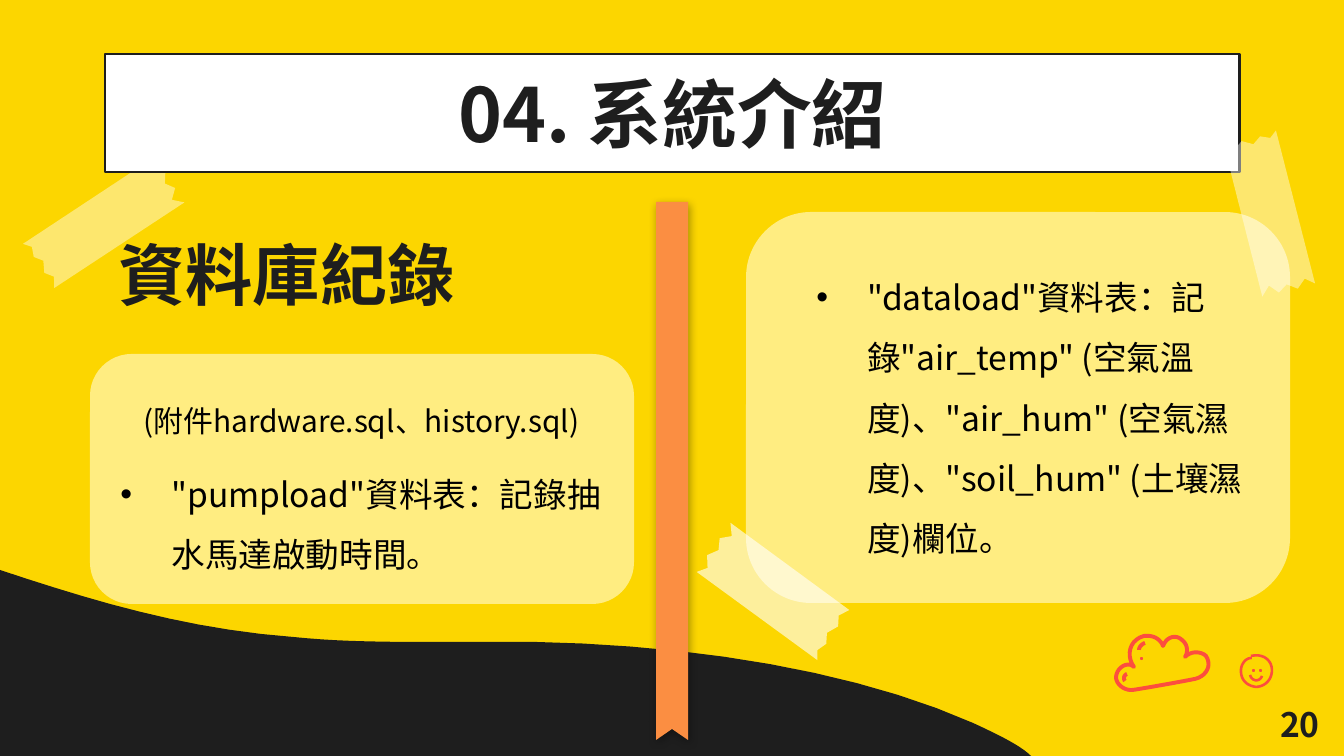
from lxml import etree
from pptx import Presentation
from pptx.dml.color import RGBColor
from pptx.enum.shapes import MSO_SHAPE as Shape
from pptx.enum.text import MSO_ANCHOR as Anchor, MSO_AUTO_SIZE as AutoSize, PP_ALIGN as Align
from pptx.oxml.ns import qn
from pptx.util import Emu, Pt

PX = 9144000 / 1344
FONT = "Noto Sans CJK JP"
YELLOW = RGBColor(0xFC, 0xD6, 0x00)
CREAM = RGBColor(0xFF, 0xED, 0x81)
INK = RGBColor(0x1E, 0x1E, 0x1E)
BLACK = RGBColor(0x00, 0x00, 0x00)
WHITE = RGBColor(0xFF, 0xFF, 0xFF)
ORANGE = RGBColor(0xFB, 0x8E, 0x42)
RED = RGBColor(0xFC, 0x4E, 0x3E)

TAPE = [(4, 0), (9, 8), (4, 17), (9, 26), (2, 36), (7, 45), (0, 54), (154, 71),
        (146, 61), (156, 54), (151, 44), (159, 35), (152, 25), (160, 17)]
WAVE = [(0, 570), (90, 600), (185, 629), (293, 637), (341, 642), (390, 642), (438, 642),
        (470, 642), (503, 642), (535, 642), (694, 645), (856, 671), (973, 723),
        (1001, 736), (1021, 746), (1031, 756)]
CLOUD = [(19, 56), (10, 57), (2, 50), (2, 43), (3, 33), (14, 27), (20, 33),
         (12, 22), (15, 6), (30, 2), (38, 1), (46, 4), (49, 12),
         (53, 2), (63, 0), (69, 7), (74, 11), (74, 19), (71, 23),
         (78, 16), (88, 18), (92, 22), (98, 31), (93, 42), (81, 45),
         (60, 49), (38, 53), (19, 56)]
CLOUD_SHINES = [[(25, 16), (25, 13), (28, 10), (31, 9)], [(11, 47), (9, 45), (10, 41), (13, 40)]]
FACE = [(12, 3), (26, 0), (34, 9), (33, 19), (32, 29), (24, 34), (17, 34),
        (8, 33), (2, 27), (2, 18), (2, 12), (6, 5), (13, 5)]
SMILE = [(11, 22), (13, 29), (21, 29), (23, 23)]


def px(length):
    """Turn px into EMU."""
    return Emu(round(length * PX))


def curve(points, steps=10):
    """Sample a chain of cubic curves."""
    samples = [points[0]]
    for i in range(0, len(points) - 1, 3):
        for step in range(1, steps + 1):
            t = step / steps
            weights = ((1 - t) ** 3, 3 * t * (1 - t) ** 2, 3 * t * t * (1 - t), t ** 3)
            samples.append(tuple(sum(w * p[axis] for w, p in zip(weights, points[i:i + 4]))
                                 for axis in (0, 1)))
    return samples


def paint(shape, fill=None, line=None, width=1.5):
    """Give a shape its fill and outline, without a shadow."""
    shape.shadow.inherit = False
    if fill is None:
        shape.fill.background()
    else:
        shape.fill.solid()
        shape.fill.fore_color.rgb = fill
    if line is None:
        shape.line.fill.background()
    else:
        shape.line.color.rgb = line
        shape.line.width = Pt(width)
    return shape


def outline(slide, left, top, points, closed=True):
    """Draw a freeform whose points are px from left and top."""
    placed = [(round((left + x) * PX), round((top + y) * PX)) for x, y in points]
    builder = slide.shapes.build_freeform(*placed[0], scale=1.0)
    builder.add_line_segments(placed[1:], close=closed)
    return builder.convert_to_shape()


def preset(slide, kind, box, **look):
    """Draw a painted preset shape in a px box."""
    return paint(slide.shapes.add_shape(kind, *map(px, box)), **look)


def style(paragraph, text, size, color, align=Align.LEFT, bold=False):
    """Fill a paragraph and set its font."""
    paragraph.text = text
    paragraph.alignment = align
    font = paragraph.font
    font.name, font.size, font.bold = FONT, Pt(size), bold
    font.color.rgb = color
    defaults = paragraph._p.pPr.find(qn("a:defRPr"))
    etree.SubElement(defaults, qn("a:ea")).set("typeface", FONT)


def item(paragraph, text, size=18, bullet=True):
    """Write one spaced list line, bulleted or centred."""
    properties = paragraph._p.get_or_add_pPr()
    properties.set("marL", str(px(89 if bullet else 38)))
    properties.set("indent", str(px(-51 if bullet else 0)))
    paragraph.line_spacing = 1.5
    paragraph.space_before, paragraph.space_after = Pt(0), Pt(8)
    if bullet:
        etree.SubElement(properties, qn("a:buFont")).set("typeface", "Arial")
        etree.SubElement(properties, qn("a:buChar")).set("char", "•")
    else:
        etree.SubElement(properties, qn("a:buNone"))
    style(paragraph, text, size, BLACK, Align.LEFT if bullet else Align.CENTER)


def frame_of(shape, anchor=Anchor.MIDDLE):
    """Return a wrapping text frame with a fixed size."""
    frame = shape.text_frame
    frame.word_wrap, frame.auto_size, frame.vertical_anchor = True, AutoSize.NONE, anchor
    return frame


def place(shape, box):
    """Move a placeholder to a px box."""
    shape.left, shape.top, shape.width, shape.height = map(px, box)


def tape(slide, left, top, width, height, angle, opacity):
    """Stick a translucent strip of torn tape."""
    points = [(x * width / 160, y * height / 71) for x, y in TAPE]
    strip = paint(outline(slide, left, top, points), WHITE)
    strip.rotation = angle
    color = strip.fill._xPr.find(qn("a:solidFill"))[0]
    etree.SubElement(color, qn("a:alpha")).set("val", str(opacity * 1000))


def ribbon(slide, left, top, width, height):
    """Draw the bookmark between the columns with a soft shadow."""
    points = [(0, 0), (0, height), (width / 2, height - 11), (width, height), (width, 0)]
    band = paint(outline(slide, left, top, points), ORANGE)
    effects = band._element.spPr.find(qn("a:effectLst"))
    shadow = etree.SubElement(effects, qn("a:outerShdw"), blurRad=str(Pt(4.5)),
                              dist=str(Pt(1.5)), dir=str(73 * 60000), rotWithShape="0")
    color = etree.SubElement(shadow, qn("a:srgbClr"), val="000000")
    etree.SubElement(color, qn("a:alpha"), val="34000")


def banner(slide, box):
    """Draw the chapter heading."""
    heading = preset(slide, Shape.RECTANGLE, box, fill=WHITE, line=INK)
    style(frame_of(heading).paragraphs[0], "04. 系統介紹", 40, INK, Align.CENTER, True)


def left_column(slide, left, top):
    """Place the title and the card with the first list."""
    title, body = slide.shapes.title, slide.placeholders[1]
    place(title, (left + 15, top, 512, 109))
    style(frame_of(title).paragraphs[0], "資料庫紀錄", 36, INK, bold=True)
    preset(slide, Shape.ROUNDED_RECTANGLE, (left, top + 135, 544, 250), fill=CREAM)
    place(body, (left - 21, top + 159, 547, 199))
    slide.shapes._spTree.append(body._element)
    frame = frame_of(body, Anchor.TOP)
    item(frame.paragraphs[0], "(附件hardware.sql、history.sql)", 16, bullet=False)
    item(frame.add_paragraph(), '"pumpload"資料表：記錄抽水馬達啟動時間。')


def right_card(slide, box):
    """Place the card with the second list."""
    card = preset(slide, Shape.ROUNDED_RECTANGLE, box, fill=CREAM)
    item(frame_of(card).paragraphs[0],
         '"dataload"資料表：記錄"air_temp" (空氣溫度)、"air_hum" (空氣濕度)、"soil_hum" (土壤濕度)欄位。')


def doodle(slide, left, top, strokes, dots, width):
    """Draw curved red strokes and round dots."""
    for stroke in strokes:
        paint(outline(slide, left, top, curve(stroke), closed=False), line=RED, width=width)
    for x, y in dots:
        preset(slide, Shape.OVAL, (left + x - 1, top + y - 1, 3, 3), fill=RED)


def page_number(slide, box):
    """Write the page number."""
    frame = frame_of(slide.shapes.add_textbox(*map(px, box)))
    style(frame.paragraphs[0], "20", 18, INK, Align.RIGHT, True)


def main():
    """Build and save the slide."""
    deck = Presentation()
    deck.slide_width, deck.slide_height = px(1344), px(756)
    slide = deck.slides.add_slide(deck.slide_layouts[1])
    slide.background.fill.solid()
    slide.background.fill.fore_color.rgb = YELLOW
    paint(outline(slide, 0, 0, curve(WAVE) + [(0, 756)]), INK)
    right_card(slide, (746, 212, 544, 391))
    left_column(slide, 90, 219)
    ribbon(slide, 656, 202, 32, 538)
    tape(slide, 24, 187, 161, 71, 320.4, 43)
    banner(slide, (105, 54, 1135, 118))
    doodle(slide, 1114, 634, [CLOUD, *CLOUD_SHINES], [(27, 24)], 2.1)
    doodle(slide, 1239, 653, [FACE, SMILE], [(14, 17), (21, 17)], 1.4)
    tape(slide, 697, 552, 152, 78, 209, 61)
    tape(slide, 1189, 179, 161, 71, 69.5, 43)
    page_number(slide, (1254, 704, 79, 41))
    deck.save("out.pptx")


if __name__ == "__main__":
    main()
